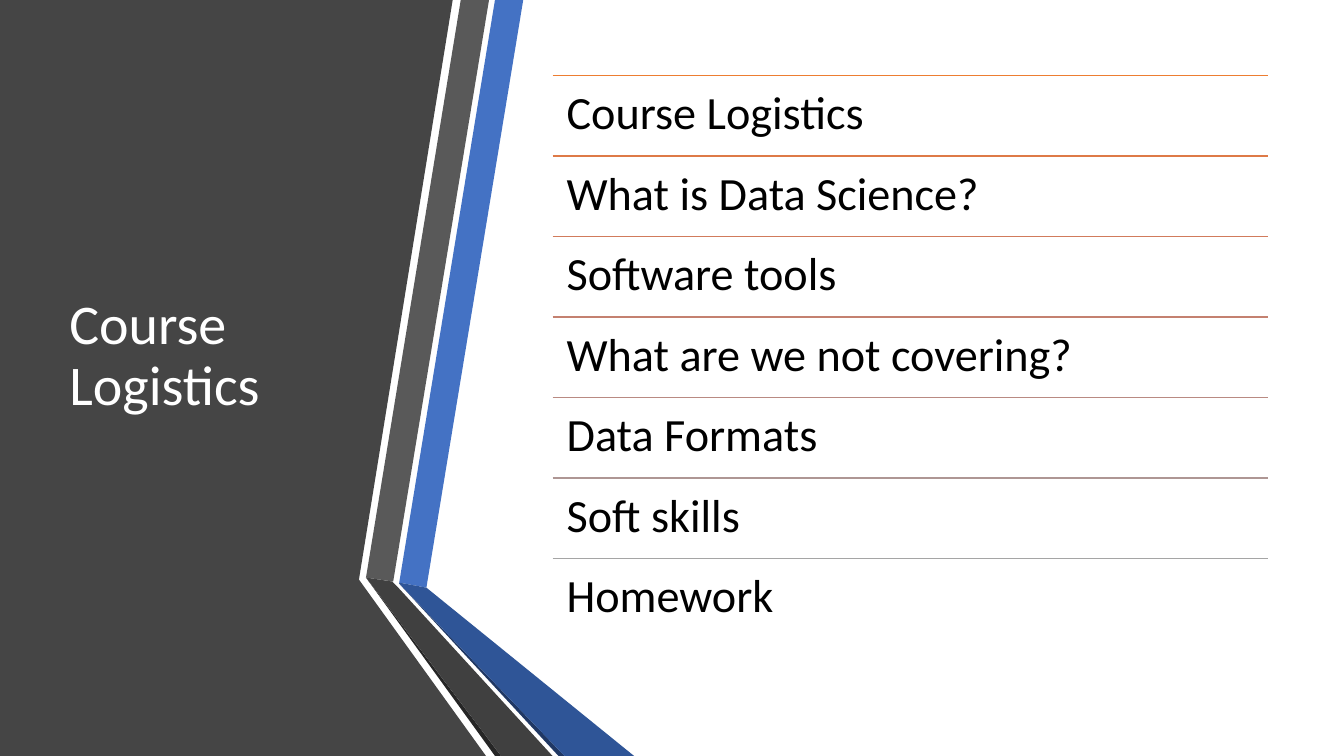
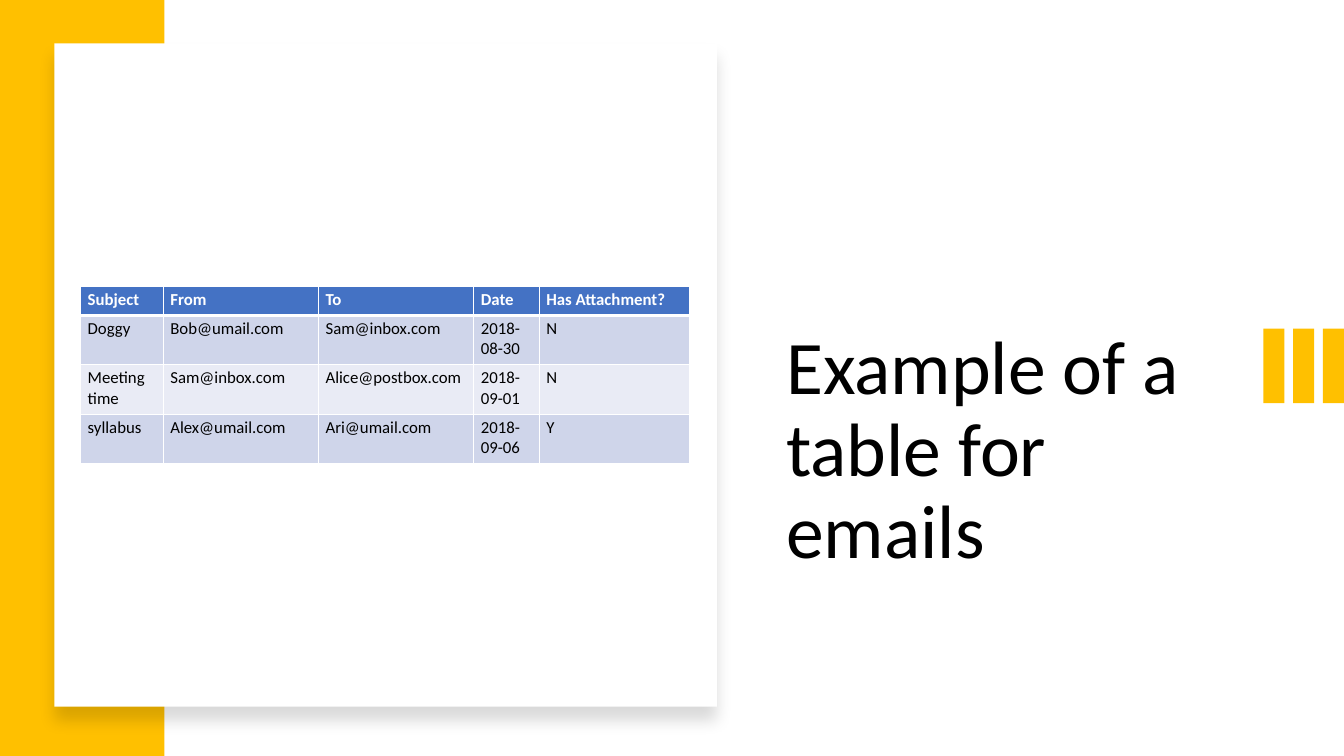
from collections import namedtuple
from pptx import Presentation
from pptx.dml.color import RGBColor
from pptx.enum.shapes import MSO_CONNECTOR as CONNECTOR, MSO_SHAPE as SHAPE
from pptx.enum.text import MSO_ANCHOR as ANCHOR
from pptx.oxml.ns import qn
from pptx.util import Inches, Pt
from lxml.etree import SubElement

Box = namedtuple("Box", "left top width height")
FONT = "Calibri"
WHITE, BLACK, BLUE, GOLD = "FFFFFF", "000000", "4472C4", "FFC000"
SLIDE = Box(0, 0, 13.33, 7.5)

RIBBONS = [
    ("454545", [(0, 0), (4.49, 0), (3.56, 5.75), (4.82, 7.5), (0, 7.5)]),
    (BLUE, [(3.96, 5.78), (4.23, 5.83), (5.19, 0), (4.91, 0)]),
    ("595959", [(4.85, 0), (4.57, 0), (3.63, 5.73), (3.9, 5.77)]),
    ("262626", [(3.63, 5.73), (4.91, 7.5), (4.97, 7.5)]),
    ("203864", [(3.96, 5.79), (5.54, 7.5), (5.6, 7.5)]),
    ("2F5597", [(3.96, 5.79), (5.6, 7.5), (6.29, 7.5), (4.23, 5.83), (3.96, 5.78)]),
    ("404040", [(5.48, 7.5), (3.95, 5.83), (3.89, 5.77), (3.63, 5.73), (4.97, 7.5)]),
]
TOPICS = [
    ("Course Logistics", "ED7D31"),
    ("What is Data Science?", "DE7A47"),
    ("Software tools", "D17B5C"),
    ("What are we not covering?", "C48170"),
    ("Data Formats", "B98A82"),
    ("Soft skills", "AE9694"),
    ("Homework", "A5A5A5"),
]
EMAILS = [
    ("Subject", "From", "To", "Date", "Has Attachment?"),
    ("Doggy", "Bob@umail.com", "Sam@inbox.com", "2018-08-30", "N"),
    ("Meeting time", "Sam@inbox.com", "Alice@postbox.com", "2018-09-01", "N"),
    ("syllabus", "Alex@umail.com", "Ari@umail.com", "2018-09-06", "Y"),
]
COLUMN_WIDTHS = [0.82, 1.54, 1.54, 0.65, 1.49]
ROW_HEIGHTS = [0.29, 0.49, 0.49, 0.49]
ROW_FILLS = [BLUE, "CFD5EA", "E9EBF5", "CFD5EA"]


def colour(value):
    return RGBColor.from_string(value)


def inches(box):
    return [Inches(value) for value in box]


def set_all(target, values):
    for name, value in values.items():
        setattr(target, name, value)


def paint(shape, fill):
    shape.shadow.inherit = False
    shape.fill.solid()
    shape.fill.fore_color.rgb = colour(fill)
    shape.line.fill.background()


def write(frame, text, size, ink, bold=False, spacing=None):
    para = frame.paragraphs[0]
    para.line_spacing = spacing
    span = para.add_run()
    span.text = text
    set_all(span.font, {"name": FONT, "size": Pt(size), "bold": bold})
    span.font.color.rgb = colour(ink)


def add_text(page, box, text, size, ink, anchor=ANCHOR.TOP, inset=None):
    frame = page.shapes.add_textbox(*inches(box)).text_frame
    set_all(frame, {"word_wrap": True, "vertical_anchor": anchor})
    if inset is not None:
        sides = ("left", "top", "right", "bottom")
        set_all(frame, {f"margin_{side}": Inches(inset) for side in sides})
    write(frame, text, size, ink, spacing=0.9)


def add_rect(page, box, fill):
    rect = page.shapes.add_shape(SHAPE.RECTANGLE, *inches(box))
    paint(rect, fill)
    return rect


def add_rule(page, left, top, width, ink):
    rule = page.shapes.add_connector(
        CONNECTOR.STRAIGHT, *inches((left, top, left + width, top)))
    rule.line.color.rgb = colour(ink)
    rule.line.width = Pt(1)
    SubElement(rule._element.spPr, qn("a:effectLst"))


def add_ribbons(page, box):
    for fill, points in RIBBONS:
        corners = [(Inches(box.left + x), Inches(box.top + y)) for x, y in points]
        outline = page.shapes.build_freeform(*corners[0], scale=1.0)
        outline.add_line_segments(corners[1:], close=True)
        paint(outline.convert_to_shape(), fill)


def add_topics(page, box):
    step = box.height / len(TOPICS)
    for index, (topic, ink) in enumerate(TOPICS):
        row = Box(box.left, box.top + index * step, box.width, step)
        add_rule(page, row.left, row.top, row.width, ink)
        add_text(page, row, topic, 33, BLACK, inset=0.14)


def add_card(page, box):
    card = add_rect(page, box, WHITE)
    effects = card._element.spPr.find(qn("a:effectLst"))
    shadow = SubElement(effects, qn("a:outerShdw"), {
        "blurRad": str(Pt(11)), "dist": str(Pt(10)),
        "dir": str(90 * 60000), "algn": "t", "rotWithShape": "0"})
    ink = SubElement(shadow, qn("a:srgbClr"), val=BLACK)
    SubElement(ink, qn("a:alpha"), val="15000")


def add_bars(page, box, count=3, width=0.21):
    step = (box.width - width) / (count - 1)
    for index in range(count):
        add_rect(page, Box(box.left + index * step, box.top, width, box.height), GOLD)


def add_borders(cell, widths):
    properties = cell._tc.get_or_add_tcPr()
    for side, width in widths.items():
        line = SubElement(properties, qn(f"a:ln{side}"), w=str(Pt(width)))
        fill = SubElement(line, qn("a:solidFill"))
        SubElement(fill, qn("a:srgbClr"), val=WHITE)


def fill_cell(cell, text, row):
    header = row == 0
    set_all(cell, {
        "margin_left": Inches(0.07), "margin_right": Inches(0.07),
        "margin_top": Inches(0.03), "margin_bottom": Inches(0.03)})
    add_borders(cell, {"L": 1, "R": 1, "T": 3 if row == 1 else 1,
                       "B": 3 if header else 1})
    cell.fill.solid()
    cell.fill.fore_color.rgb = colour(ROW_FILLS[row])
    write(cell.text_frame, text, 12, WHITE if header else BLACK, bold=header)


def add_email_table(page, box):
    table = page.shapes.add_table(len(EMAILS), len(EMAILS[0]), *inches(box)).table
    table.horz_banding = False
    for column, width in zip(table.columns, COLUMN_WIDTHS):
        column.width = Inches(width)
    for index, (row, height) in enumerate(zip(table.rows, ROW_HEIGHTS)):
        row.height = Inches(height)
        for cell, text in zip(row.cells, EMAILS[index]):
            fill_cell(cell, text, index)


def build_agenda(page):
    add_ribbons(page, SLIDE)
    add_text(page, Box(0.59, 0.75, 3.04, 5.58), "Course Logistics", 40, WHITE,
             ANCHOR.MIDDLE)
    add_topics(page, Box(5.48, 0.75, 7.1, 5.59))


def build_email_example(page):
    add_text(page, Box(7.7, 3.22, 4.41, 2.61), "Example of a table for emails",
             54, BLACK)
    add_rect(page, Box(0, 0, 1.63, SLIDE.height), GOLD)
    add_card(page, Box(0.54, 0.43, 6.57, 6.58))
    add_bars(page, Box(12.53, 3.26, 0.8, 0.74))
    add_email_table(page, Box(0.8, 2.84, 6.04, 1.76))


def main():
    deck = Presentation()
    set_all(deck, {"slide_width": Inches(SLIDE.width),
                   "slide_height": Inches(SLIDE.height)})
    for build in (build_agenda, build_email_example):
        build(deck.slides.add_slide(deck.slide_layouts[6]))
    deck.save("out.pptx")


if __name__ == "__main__":
    main()
